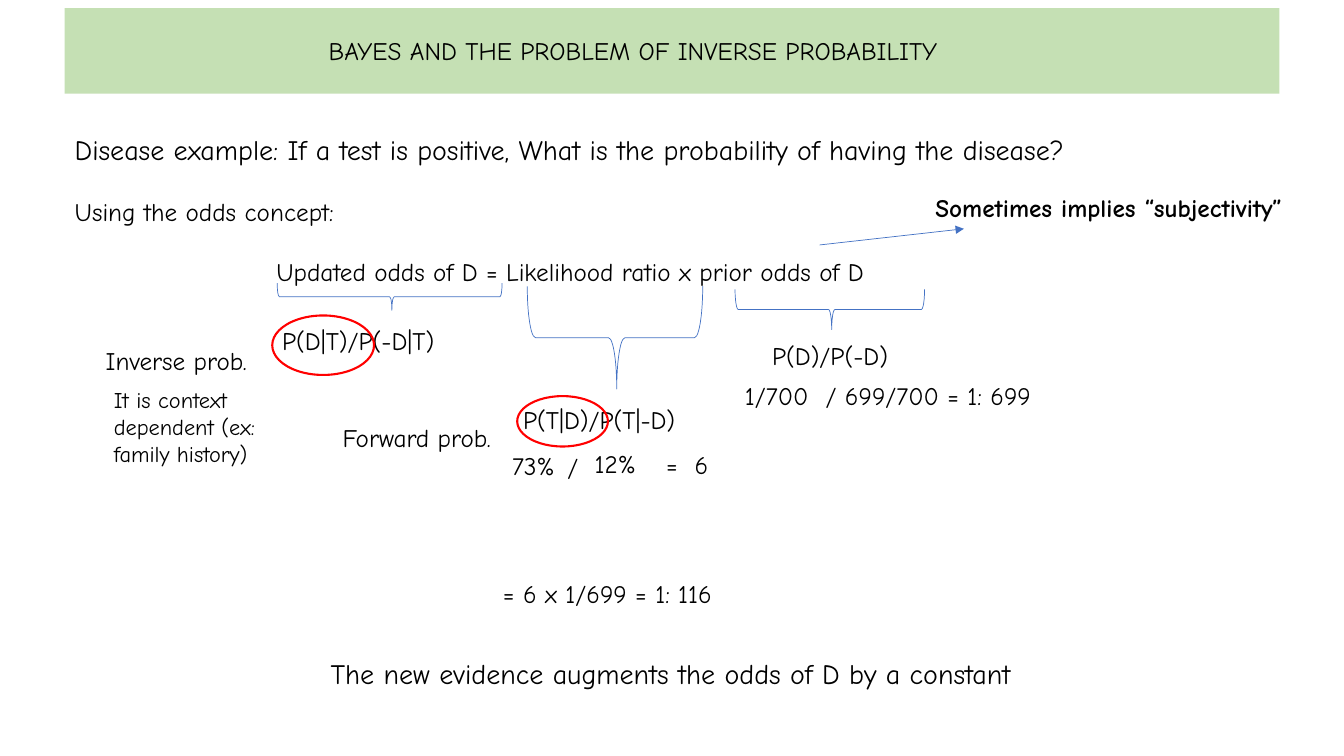
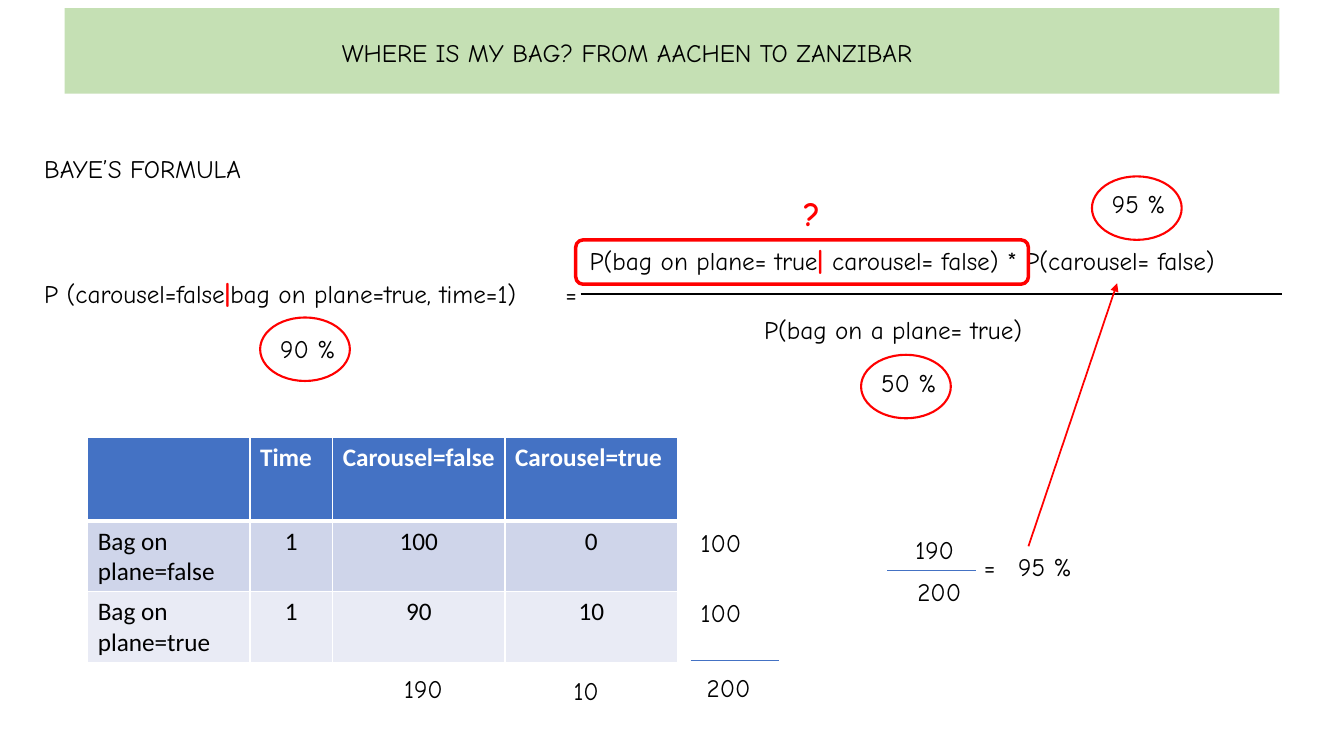
from lxml.etree import SubElement
from pptx import Presentation
from pptx.dml.color import RGBColor
from pptx.enum.shapes import MSO_CONNECTOR, MSO_SHAPE as SHAPE
from pptx.enum.text import MSO_ANCHOR as ANCHOR, MSO_AUTO_SIZE as AUTO, PP_ALIGN as ALIGN
from pptx.oxml.ns import qn
from pptx.util import Inches, Pt

BLACK, WHITE, RED, BLUE = "000000", "FFFFFF", "FF0000", "4472C4"
BAND, STRIPES = "C5E0B4", ("CFD5EA", "E9EBF5")
FONT, TABLE_FONT = "Comic Neue", "Calibri"
TITLE_AND_BODY, TITLE_ONLY = 1, 5


def rgb(value):
    return RGBColor.from_string(value)


class Deck:
    """Holds the shared style and the current slide."""

    def __init__(self):
        self.prs = Presentation()
        self.prs.slide_width, self.prs.slide_height = Inches(13.33), Inches(7.5)
        self.slide = None

    def place(self, sp, x, y, w, h):
        sp.left, sp.top, sp.width, sp.height = map(Inches, (x, y, w, h))

    def run(self, p, text, color=BLACK, bold=False, size=18, font=FONT):
        r = p.add_run()
        r.text = text
        r.font.name, r.font.size, r.font.bold = font, Pt(size), bold
        r.font.color.rgb = rgb(color)

    def new_slide(self, layout, title, x, y, w):
        """Start a slide with its title on the green band."""
        self.slide = self.prs.slides.add_slide(self.prs.slide_layouts[layout])
        band = self.shape(SHAPE.RECTANGLE, 0.64, 0.08, 12.05, 0.85, fill=BAND)
        sp = self.slide.shapes.title
        sp._element.addprevious(band._element)
        self.place(sp, x, y, w, 0.4)
        tf = sp.text_frame
        tf.auto_size, tf.vertical_anchor = AUTO.NONE, ANCHOR.TOP
        p = tf.paragraphs[0]
        p.alignment = ALIGN.LEFT
        self.run(p, title)

    def body(self, x, y, w, h, lines):
        """Fill the body placeholder; lines are (text, size, indent, space before)."""
        sp = self.slide.placeholders[1]
        self.place(sp, x, y, w, h)
        tf = sp.text_frame
        tf.auto_size, tf.vertical_anchor = AUTO.NONE, ANCHOR.TOP
        for i, (text, size, indent, before) in enumerate(lines):
            p = tf.add_paragraph() if i else tf.paragraphs[0]
            p.space_before = Pt(before)
            pPr = p._p.get_or_add_pPr()
            pPr.set("marL", str(Inches(indent)))
            pPr.set("indent", "0")
            SubElement(pPr, qn("a:buNone"))
            self.run(p, text, size=size)

    def text(self, x, y, w, *runs, h=0.4, size=18, wrap=False):
        """Add a text box; each run is a (text, colour, bold) tuple or a string."""
        sp = self.slide.shapes.add_textbox(*map(Inches, (x, y, w, h)))
        tf = sp.text_frame
        tf.word_wrap, tf.auto_size = wrap, AUTO.SHAPE_TO_FIT_TEXT
        for item in runs:
            parts = (item,) if isinstance(item, str) else item
            self.run(tf.paragraphs[0], *parts, size=size)

    def shape(self, kind, x, y, w, h, fill=None, line=None, width=1.5):
        sp = self.slide.shapes.add_shape(kind, *map(Inches, (x, y, w, h)))
        sp.shadow.inherit = False
        if fill:
            sp.fill.solid()
            sp.fill.fore_color.rgb = rgb(fill)
        else:
            sp.fill.background()
        if line:
            sp.line.color.rgb, sp.line.width = rgb(line), Pt(width)
        else:
            sp.line.fill.background()
        return sp

    def ring(self, x, y, w, h):
        self.shape(SHAPE.OVAL, x, y, w, h, line=RED)

    def brace(self, x, y, w, h):
        """Add a brace that points down, given the box it has before its turn."""
        sp = self.shape(SHAPE.LEFT_BRACE, x, y, w, h, line=BLUE, width=0.5)
        sp.rotation = 270
        sp.adjustments[0], sp.adjustments[1] = 0.08, 0.51

    def line(self, x1, y1, x2, y2, color=BLUE, width=0.5, arrow=False):
        sp = self.slide.shapes.add_connector(
            MSO_CONNECTOR.STRAIGHT, *map(Inches, (x1, y1, x2, y2)))
        sp.line.color.rgb, sp.line.width = rgb(color), Pt(width)
        spPr = sp._element.spPr
        if arrow:
            SubElement(spPr.find(qn("a:ln")), qn("a:tailEnd"), type="triangle")
        SubElement(spPr, qn("a:effectLst"))

    def cell_borders(self, cell, bottom):
        tcPr = cell._tc.get_or_add_tcPr()
        for side, width in (("L", 1), ("R", 1), ("T", 1), ("B", bottom)):
            ln = SubElement(tcPr, qn(f"a:ln{side}"), w=str(Pt(width)))
            fill = SubElement(ln, qn("a:solidFill"))
            SubElement(fill, qn("a:srgbClr"), val=WHITE)

    def table(self, x, y, widths, heights, rows):
        frame = self.slide.shapes.add_table(
            len(rows), len(widths),
            *map(Inches, (x, y, sum(widths), sum(heights))))
        table = frame.table
        for column, width in zip(table.columns, widths):
            column.width = Inches(width)
        for i, values in enumerate(rows):
            table.rows[i].height = Inches(heights[i])
            header = i == 0
            for j, value in enumerate(values):
                cell = table.cell(i, j)
                self.cell_borders(cell, 3 if header else 1)
                cell.fill.solid()
                cell.fill.fore_color.rgb = rgb(BLUE if header else STRIPES[(i - 1) % 2])
                p = cell.text_frame.paragraphs[0]
                if value:
                    self.run(p, value, WHITE if header else BLACK, header, font=TABLE_FONT)
                if not header and j:
                    p.alignment = ALIGN.CENTER


def odds_slide(d):
    d.new_slide(TITLE_AND_BODY, "BAYES AND THE PROBLEM OF INVERSE PROBABILITY", 3.16, 0.3, 7)
    d.body(0.64, 1.26, 11.4, 2.26, [
        ("Disease example: If a test is positive, What is the probability of having the disease?",
         20, 0, 0),
        ("Using the odds concept:", 18, 0, 21.6),
        ("Updated odds of D = Likelihood ratio x prior odds of D", 18, 2, 21.6),
    ])

    # Braces under the three terms
    for box in ((8.03, 2.13, 0.4, 1.88), (3.73, 1.83, 0.27, 2.23), (5.59, 2.48, 1.02, 1.74)):
        d.brace(*box)

    # Terms, their values and the result
    for x, y, w, text in (
        (5.09, 3.96, 2.09, "P(T|D)/P(T|-D)"),
        (4.98, 4.42, 0.72, "73%"),
        (5.53, 4.43, 0.32, "/"),
        (5.8, 4.4, 0.68, "12%"),
        (6.51, 4.41, 0.33, "="),
        (6.79, 4.41, 0.33, "6"),
        (7.56, 3.33, 1.63, "P(D)/P(-D)"),
        (7.29, 3.72, 0.84, "1/700"),
        (8.09, 3.72, 2.3, "/ 699/700 = 1: 699"),
        (2.7, 3.18, 1.99, "P(D|T)/P(-D|T)"),
        (4.89, 5.69, 2.49, "= 6 x 1/699 = 1: 116"),
        (3.3, 4.14, 1.86, "Forward prob."),
        (0.95, 3.38, 1.79, "Inverse prob."),
    ):
        d.text(x, y, w, text)
    d.ring(2.7, 3.13, 1.01, 0.59)
    d.ring(5.13, 3.93, 0.9, 0.5)

    # Remarks
    d.text(1.03, 3.78, 1.75, "It is context dependent (ex: family history)",
           h=0.91, size=16, wrap=True)
    d.text(3.18, 6.46, 7.62, "The new evidence augments the odds of D by a constant",
           h=0.44, size=20)
    d.text(9.18, 1.86, 4.16, ("Sometimes implies “subjectivity”", BLACK, True))
    d.line(8.13, 2.43, 9.56, 2.27, arrow=True)


def bag_slide(d):
    d.new_slide(TITLE_ONLY, "WHERE IS MY BAG? FROM AACHEN TO ZANZIBAR", 3.29, 0.32, 6.56)

    # Formula
    d.text(0.34, 1.47, 2.4, "BAYE’S FORMULA")
    d.text(5.75, 2.38, 6.97, "P(bag on plane= true", ("| ", RED, True),
           "carousel= false) * P(carousel= false)")
    d.line(5.76, 2.92, 12.72, 2.92, BLACK, 1.5)
    d.text(0.34, 2.71, 5.37, "P (carousel=false", ("|", RED, True),
           "bag on plane=true, time=1)")
    d.text(5.51, 2.71, 0.33, "=")
    d.text(7.48, 3.07, 2.87, "P(bag on a plane= true)")
    d.shape(SHAPE.ROUNDED_RECTANGLE, 5.71, 2.38, 4.49, 0.44, line=RED, width=2.5)
    d.text(7.87, 1.86, 0.39, ("?", RED, True), h=0.5, size=24)

    # Ringed probabilities
    for x, y, drop, value in ((8.54, 3.52, 0.07, "50 %"), (2.58, 3.15, 0.11, "90 %"),
                              (10.83, 1.75, 0.07, "95 %")):
        d.ring(x, y, 0.89, 0.63)
        d.text(x + 0.1, y + drop, 0.79, value)

    # Counts with their totals
    d.table(0.87, 4.34, (1.61, 0.82, 1.71, 1.71), (0.83, 0.7, 0.7), [
        ("", "Time", "Carousel=false", "Carousel=true"),
        ("Bag on plane=false", "1", "100", "0"),
        ("Bag on plane=true", "1", "90", "10"),
    ])
    for x, y, w, total in ((3.91, 6.63, 0.62, "190"), (5.59, 6.65, 0.47, "10"),
                           (6.85, 5.18, 0.62, "100"), (6.85, 5.88, 0.62, "100"),
                           (6.91, 6.62, 0.66, "200")):
        d.text(x, y, w, total)
    d.line(6.85, 6.55, 7.73, 6.55)

    # Share of bags not on the carousel
    d.text(8.98, 5.25, 0.62, "190")
    d.line(8.8, 5.66, 9.68, 5.66)
    d.text(9, 5.67, 0.66, "200")
    d.text(9.66, 5.42, 0.33, "=")
    d.text(10, 5.42, 0.79, "95 %")
    d.line(10.2, 5.42, 11.08, 2.81, RED, 1.25, arrow=True)


def main():
    d = Deck()
    odds_slide(d)
    bag_slide(d)
    d.prs.save("out.pptx")


if __name__ == "__main__":
    main()
